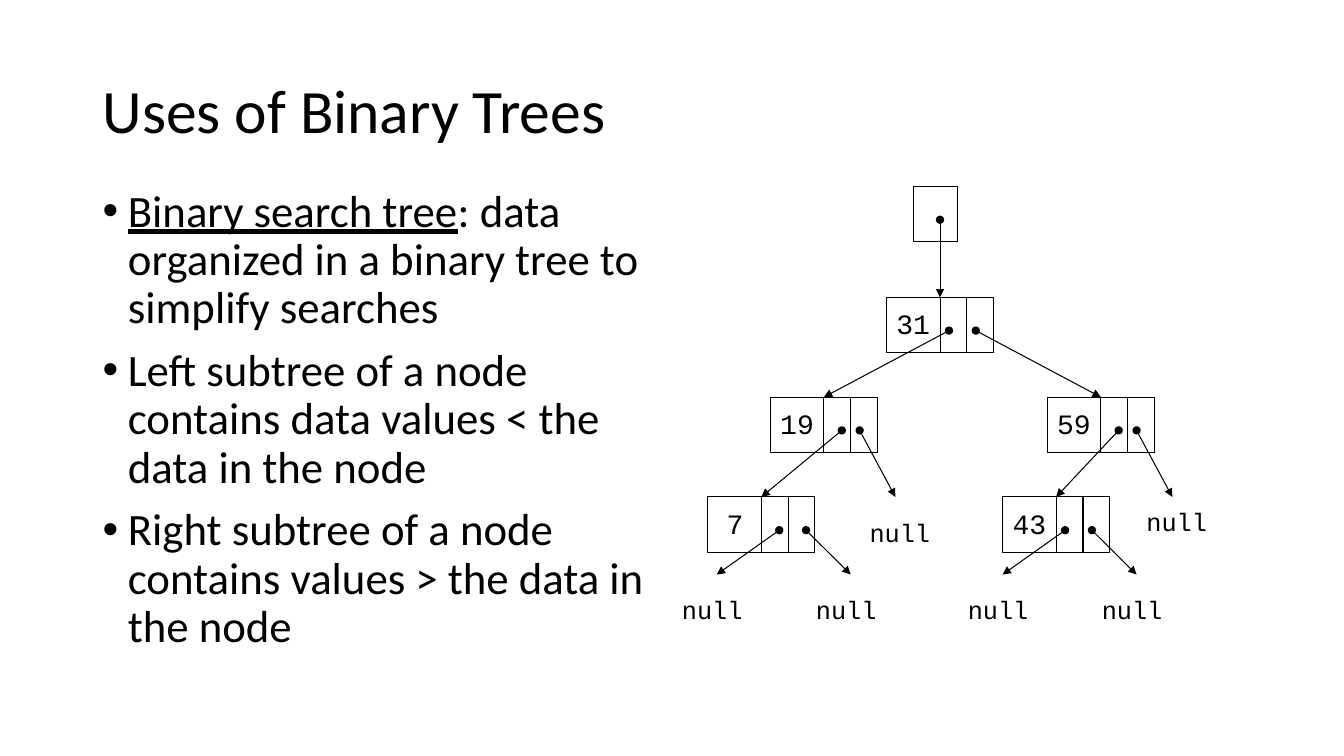
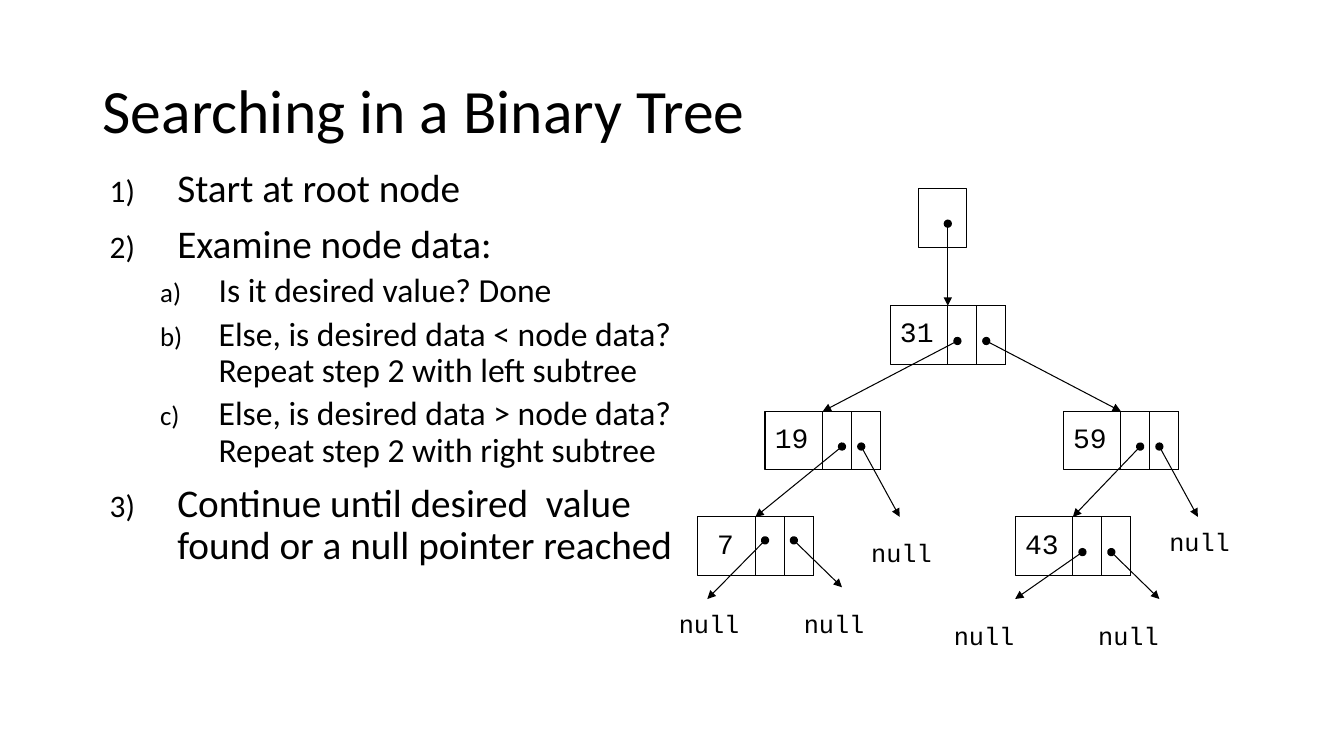
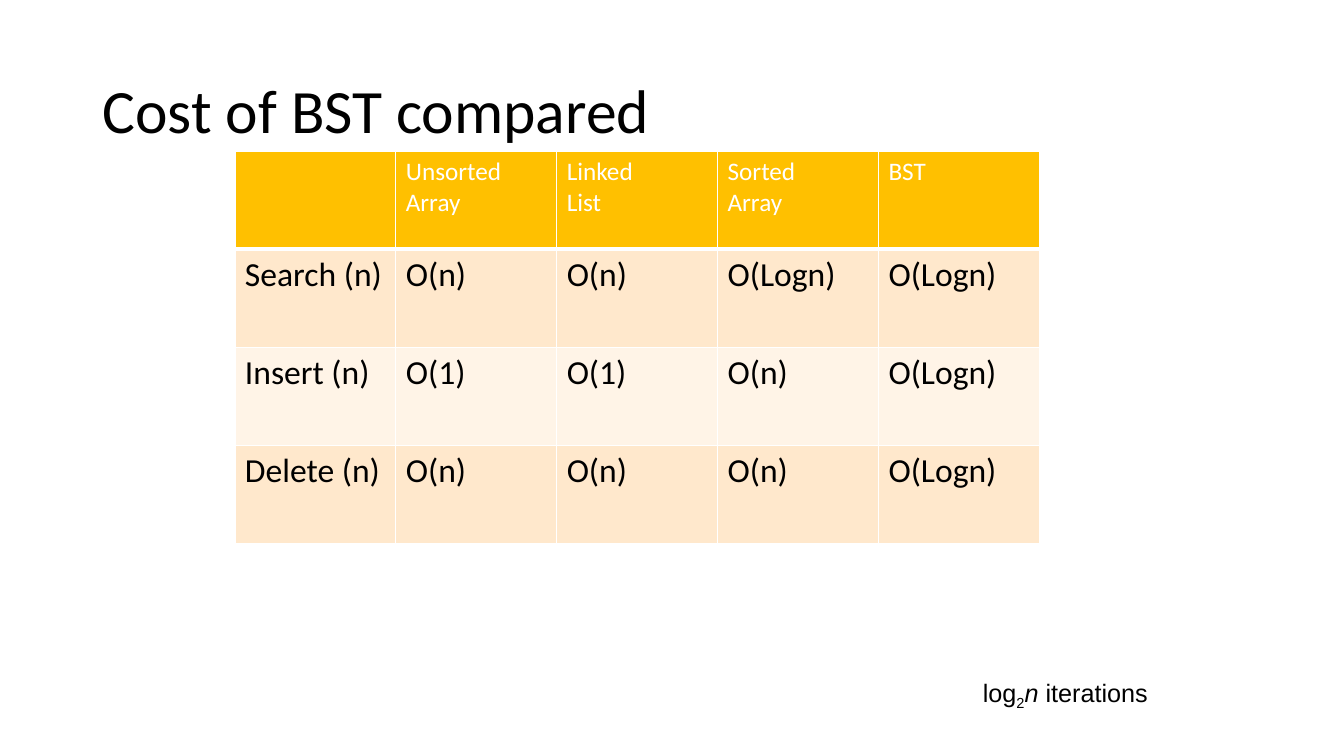
from lxml.etree import SubElement
from pptx import Presentation
from pptx.dml.color import RGBColor
from pptx.enum.shapes import MSO_CONNECTOR as Connector, MSO_SHAPE as Preset
from pptx.enum.text import MSO_ANCHOR as Anchor
from pptx.oxml.ns import qn
from pptx.util import Pt

PX = 9144
BLACK = RGBColor(0x00, 0x00, 0x00)
WHITE = RGBColor(0xFF, 0xFF, 0xFF)
GOLD = RGBColor(0xFF, 0xC0, 0x00)
PEACH = RGBColor(0xFF, 0xE8, 0xCC)
CREAM = RGBColor(0xFF, 0xF4, 0xE7)
SANS, MONO, ARIAL = "Calibri", "Courier New", "Arial"
TITLE_BOX = (92, 40, 1150, 145)

GRID_COLUMNS, GRID_ROWS = 50, 33
NODE_WIDTH, NODE_HEIGHT, LINK_WIDTH = 12, 5, 3
ROOT_POINTER = (23, 0)
NODES = [("31", 20, 10), ("19", 7, 19), ("59", 38, 19), ("7", 0, 28), ("43", 33, 28)]
LINKS = [
    ((26, 3), (26, 10)),
    ((27, 13), (13, 19)), ((30, 13), (44, 19)),
    ((15, 22), (6, 28)), ((17, 22), (21, 28)),
    ((46, 22), (39, 28)), ((48, 22), (52, 28)),
    ((40, 31), (33, 35)), ((43, 31), (48, 35)),
]
NULLS = [(17, 29), (48, 28)]

USES = [
    [("Binary search tree", True), (": data organized in a binary tree to simplify searches", False)],
    [("Left subtree of a node contains data values < the data in the node", False)],
    [("Right subtree of a node contains values > the data in the node", False)],
]
STEPS = [
    (0, "Start at root node"),
    (0, "Examine node data:"),
    (1, "Is it desired value? Done"),
    (1, "Else, is desired data < node data? Repeat step 2 with left subtree"),
    (1, "Else, is desired data > node data? Repeat step 2 with right subtree"),
    (0, "Continue until desired  value found or a null pointer reached"),
]
STEP_LEVELS = [(28, 10, 67, 67, "arabicParenR"), (24, 5, 108, 58, "alphaLcParenR")]
COSTS = [
    ["", "Unsorted\nArray", "Linked\nList", "Sorted\nArray", "BST"],
    ["Search (n)", "O(n)", "O(n)", "O(Logn)", "O(Logn)"],
    ["Insert (n)", "O(1)", "O(1)", "O(n)", "O(Logn)"],
    ["Delete (n)", "O(n)", "O(n)", "O(n)", "O(Logn)"],
]
ROW_FILLS = [GOLD, PEACH, CREAM, PEACH]


def emu(*lengths):
    """Turn px lengths into EMU."""
    return [round(length * PX) for length in lengths]


def add_run(paragraph, text, size, font=SANS, color=BLACK):
    """Add one styled run to a paragraph."""
    run = paragraph.add_run()
    run.text = text
    run.font.size = Pt(size)
    run.font.name = font
    run.font.color.rgb = color
    return run


def add_frame(slide, box, anchor=Anchor.TOP):
    """Add a wrapping text box and return its text frame."""
    frame = slide.shapes.add_textbox(*emu(*box)).text_frame
    frame.word_wrap = True
    frame.vertical_anchor = anchor
    return frame


def add_slide(presentation, title):
    """Add a blank slide with its title."""
    slide = presentation.slides.add_slide(presentation.slide_layouts[6])
    paragraph = add_frame(slide, TITLE_BOX, Anchor.MIDDLE).paragraphs[0]
    paragraph.line_spacing = 0.9
    add_run(paragraph, title, 44)
    return slide


def list_paragraphs(frame, count):
    """Return the given number of paragraphs of an empty frame."""
    return [frame.paragraphs[0]] + [frame.add_paragraph() for _ in range(count - 1)]


def format_item(paragraph, space, margin, hang, tag, **marker):
    """Give a list item its spacing, hanging indent and marker."""
    paragraph.line_spacing = 0.9
    paragraph.space_before = Pt(space)
    properties = paragraph._p.get_or_add_pPr()
    properties.set("marL", str(margin * PX))
    properties.set("indent", str(-hang * PX))
    if tag == "a:buAutoNum":
        SubElement(properties, qn("a:buSzPct"), val="80000")
    SubElement(properties, qn("a:buFont"), typeface=ARIAL if tag == "a:buChar" else SANS)
    SubElement(properties, qn(tag), **marker)


def add_bullets(slide, box, items):
    """Add a bulleted list whose runs may be underlined."""
    frame = add_frame(slide, box)
    for paragraph, runs in zip(list_paragraphs(frame, len(items)), items):
        format_item(paragraph, 10, 25, 25, "a:buChar", char="•")
        for text, underline in runs:
            add_run(paragraph, text, 32).font.underline = underline


def add_steps(slide, box, steps):
    """Add a numbered list of two levels."""
    frame = add_frame(slide, box)
    for paragraph, (level, text) in zip(list_paragraphs(frame, len(steps)), steps):
        size, space, margin, hang, numbering = STEP_LEVELS[level]
        paragraph.level = level
        format_item(paragraph, space, margin, hang, "a:buAutoNum", type=numbering)
        add_run(paragraph, text, size)


def add_outline(slide, box):
    """Add an unfilled rectangle with a thin black line."""
    shape = slide.shapes.add_shape(Preset.RECTANGLE, *emu(*box))
    shape.shadow.inherit = False
    shape.fill.background()
    shape.line.color.rgb = BLACK
    shape.line.width = Pt(0.75)


def add_link(slide, start, end):
    """Add an arrow that starts with a dot."""
    link = slide.shapes.add_connector(Connector.STRAIGHT, *emu(*start, *end))
    link.line.color.rgb = BLACK
    link.line.width = Pt(0.75)
    outline = link.line._get_or_add_ln()
    SubElement(outline, qn("a:headEnd"), type="oval")
    SubElement(outline, qn("a:tailEnd"), type="triangle")
    SubElement(link._element.spPr, qn("a:effectLst"))


def add_code(slide, box, text, size):
    """Add a monospaced label."""
    frame = add_frame(slide, box)
    frame.margin_top = 9 * PX
    add_run(frame.paragraphs[0], text, size, MONO)


def add_tree(slide, box, leaf_links, leaf_nulls):
    """Draw the linked tree on a grid that fills the box."""
    left, top, width, height = box
    unit_x, unit_y = width / GRID_COLUMNS, height / GRID_ROWS

    def point(column, row):
        """Place a grid point."""
        return left + column * unit_x, top + row * unit_y

    def cell(column, row, columns):
        """Place a grid box one node high."""
        return *point(column, row), columns * unit_x, NODE_HEIGHT * unit_y

    add_outline(slide, cell(*ROOT_POINTER, 5))
    for value, column, row in NODES:
        add_outline(slide, cell(column, row, NODE_WIDTH))
        for offset in (NODE_WIDTH - LINK_WIDTH, NODE_WIDTH - 2 * LINK_WIDTH):
            add_outline(slide, cell(column + offset, row, LINK_WIDTH))
        indent = 2 - len(value)
        add_code(slide, cell(column + indent, row, 7), value, 20)
    for start, end in LINKS + leaf_links:
        add_link(slide, point(*start), point(*end))
    for column, row in NULLS + leaf_nulls:
        add_code(slide, cell(column, row, 10), "null", 18)


def add_border(cell, side, width):
    """Add a white border on one side of a cell."""
    border = SubElement(cell._tc.get_or_add_tcPr(), qn(f"a:ln{side}"), w=str(Pt(width)))
    fill = SubElement(border, qn("a:solidFill"))
    SubElement(fill, qn("a:srgbClr"), val=str(WHITE))


def add_cost_table(slide, box, rows):
    """Add the cost table with a header row."""
    table = slide.shapes.add_table(len(rows), len(rows[0]), *emu(*box)).table
    for row_index, (texts, fill) in enumerate(zip(rows, ROW_FILLS)):
        header = row_index == 0
        size, color = (18, WHITE) if header else (24, BLACK)
        for column_index, text in enumerate(texts):
            cell = table.cell(row_index, column_index)
            for side in "LRTB":
                add_border(cell, side, 3 if header and side == "B" else 1)
            cell.fill.solid()
            cell.fill.fore_color.rgb = fill
            lines = text.split("\n") if text else []
            for paragraph, line in zip(list_paragraphs(cell.text_frame, len(lines)), lines):
                add_run(paragraph, line, size, SANS, color).font.bold = False


def add_iterations_note(slide, box):
    """Add the note on the number of iterations."""
    paragraph = add_frame(slide, box).paragraphs[0]
    add_run(paragraph, "log", 18, ARIAL)
    base = add_run(paragraph, "2", 18, ARIAL)
    base.font._element.set("baseline", "-25000")
    add_run(paragraph, "n", 18, ARIAL).font.italic = True
    add_run(paragraph, " iterations", 18, ARIAL)


def main():
    """Build the three slides."""
    presentation = Presentation()
    presentation.slide_width, presentation.slide_height = emu(1333, 750)

    slide = add_slide(presentation, "Uses of Binary Trees")
    add_bullets(slide, (92, 182, 575, 435), USES)
    add_tree(slide, (702, 185, 443, 363),
             [((8, 31), (1, 35)), ((11, 31), (16, 35))],
             [(-4, 36), (11, 36), (28, 36), (43, 36)])

    slide = add_slide(presentation, "Searching in a Binary Tree")
    add_steps(slide, (99, 162, 613, 500), STEPS)
    add_tree(slide, (692, 187, 477, 384),
             [((7, 30), (1, 35)), ((10, 30), (15, 34))],
             [(-3, 35), (10, 35), (25.6, 36), (40.6, 36)])

    slide = add_slide(presentation, "Cost of BST compared")
    add_iterations_note(slide, (965, 667, 193, 40))
    add_cost_table(slide, (233, 150, 798, 389), COSTS)

    presentation.save("out.pptx")


if __name__ == "__main__":
    main()
